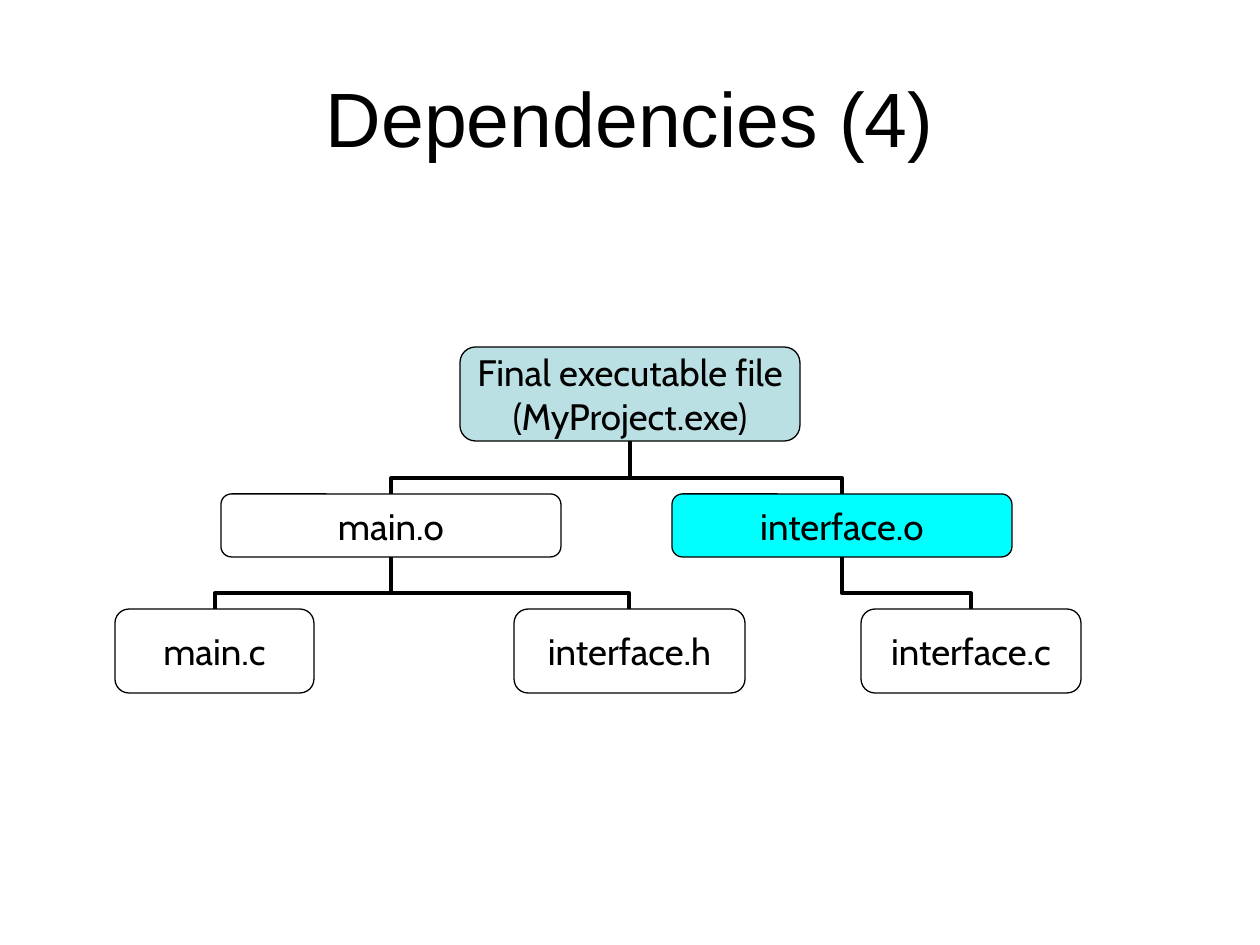
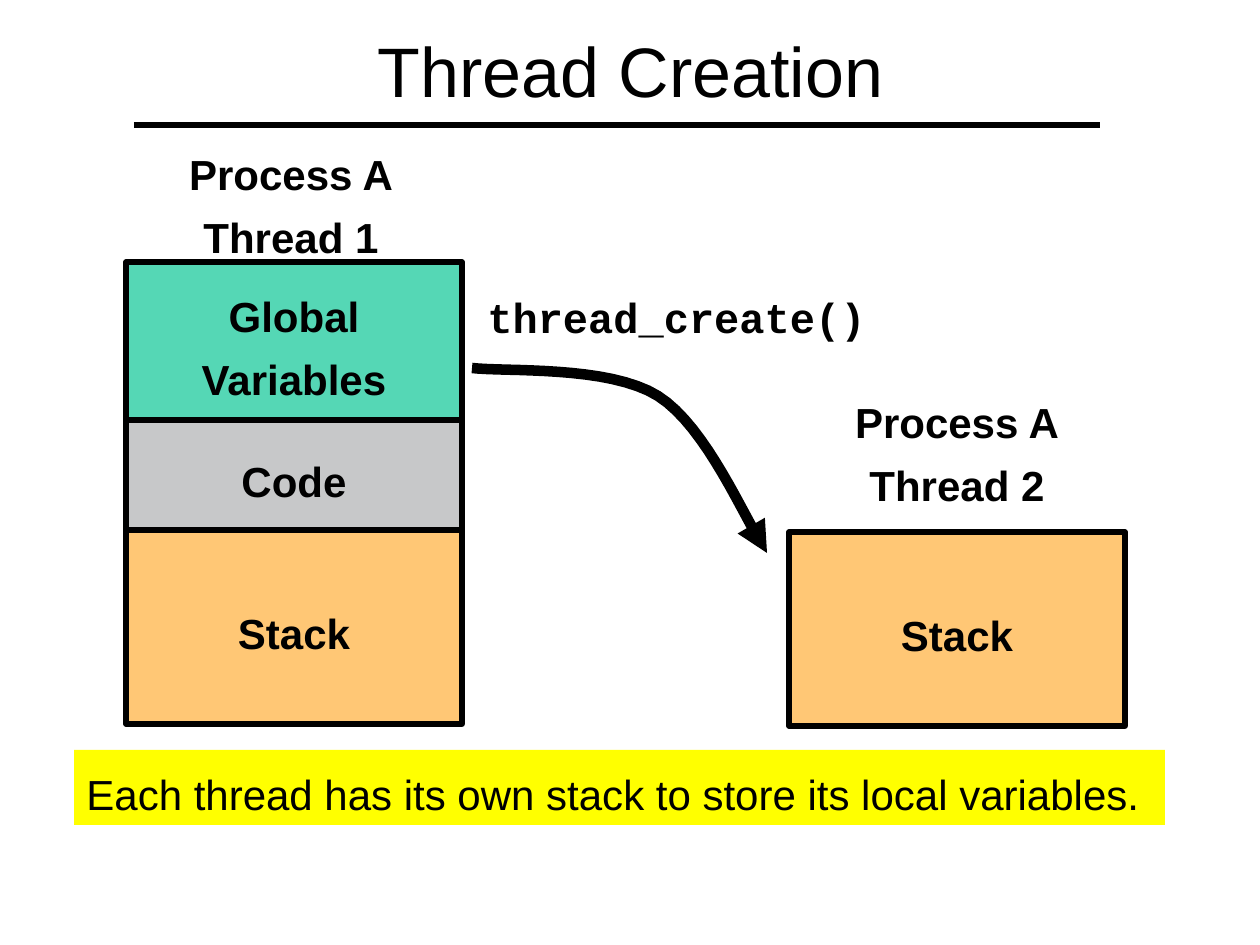
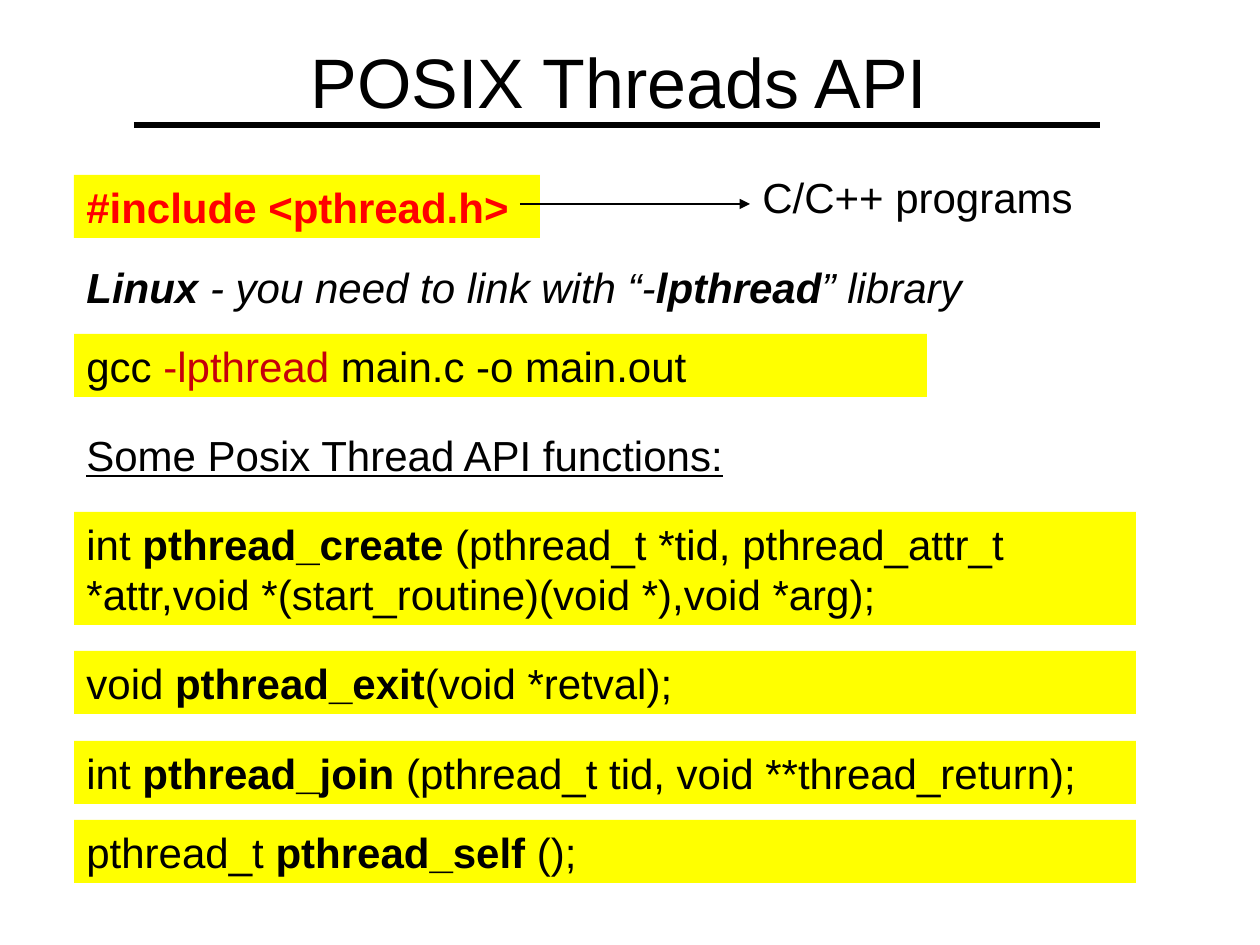
"""Build three slides on build dependencies and POSIX threads."""
from lxml import etree
from pptx import Presentation
from pptx.dml.color import RGBColor
from pptx.enum.shapes import MSO_CONNECTOR, MSO_SHAPE
from pptx.enum.text import MSO_ANCHOR, PP_ALIGN
from pptx.oxml.ns import qn
from pptx.util import Pt

PX = 914400 / 126
BLACK = RGBColor(0x00, 0x00, 0x00)
WHITE = RGBColor(0xFF, 0xFF, 0xFF)
YELLOW = RGBColor(0xFF, 0xFF, 0x00)
RED = RGBColor(0xFF, 0x00, 0x00)
DARK_RED = RGBColor(0xC5, 0x00, 0x0B)
PALE_BLUE = RGBColor(0xBB, 0xE0, 0xE3)
CYAN = RGBColor(0x00, 0xFF, 0xFF)
GREEN = RGBColor(0x55, 0xD7, 0xB5)
GREY = RGBColor(0xC7, 0xC8, 0xC9)
ORANGE = RGBColor(0xFF, 0xC7, 0x75)
SANS, TREE_FONT, CODE_FONT = "Arial", "Cabin", "Courier New"
RECTANGLE, ROUNDED = MSO_SHAPE.RECTANGLE, MSO_SHAPE.ROUNDED_RECTANGLE
STRAIGHT, ELBOW = MSO_CONNECTOR.STRAIGHT, MSO_CONNECTOR.ELBOW
TOP, MIDDLE = MSO_ANCHOR.TOP, MSO_ANCHOR.MIDDLE
LEFT, CENTER = PP_ALIGN.LEFT, PP_ALIGN.CENTER
BOLD = {"bold": True}
BAR_LEFT, BAR_WIDTH, BAR_HEIGHT = 74, 1062, 63
BLOCK_WIDTH = 336
TREE_BEND = 70000


def emu(*lengths):
    """Turn px lengths into EMU."""
    return [round(length * PX) for length in lengths]


def write(shape, paragraphs, size=24, font=SANS, align=LEFT, anchor=TOP,
          spacing=None, wrap=True, inset=None, **style):
    """Write paragraphs, each a string or a list of (text, style) runs."""
    frame = shape.text_frame
    frame.word_wrap = wrap
    frame.vertical_anchor = anchor
    if inset is not None:
        frame.margin_left = frame.margin_right = inset
        frame.margin_top = frame.margin_bottom = inset
    for index, content in enumerate(paragraphs):
        paragraph = frame.add_paragraph() if index else frame.paragraphs[0]
        paragraph.alignment = align
        if spacing:
            paragraph.line_spacing = spacing
        runs = [(content, {})] if isinstance(content, str) else content
        for text, own_style in runs:
            run = paragraph.add_run()
            run.text = text
            run.font.name = font
            run.font.size = Pt(size)
            look = {"color": BLACK, **style, **own_style}
            run.font.color.rgb = look.pop("color")
            for name, value in look.items():
                setattr(run.font, name, value)


def add_text(slide, box, paragraphs, **options):
    """Add a text box."""
    write(slide.shapes.add_textbox(*emu(*box)), paragraphs, **options)


def add_box(slide, kind, box, fill, paragraphs, line=0, **options):
    """Add a filled preset shape with text."""
    shape = slide.shapes.add_shape(kind, *emu(*box))
    shape.shadow.inherit = False
    shape.fill.solid()
    shape.fill.fore_color.rgb = fill
    if line:
        shape.line.color.rgb = BLACK
        shape.line.width = Pt(line)
    else:
        shape.line.fill.background()
    write(shape, paragraphs, **options)


def add_arrowhead(shape):
    """Put a triangle at the end of a connector or open outline."""
    etree.SubElement(shape.get_or_add_ln(), qn("a:tailEnd"), type="triangle")


def add_line(slide, kind, start, end, width):
    """Add a black connector without a shadow."""
    connector = slide.shapes.add_connector(kind, *emu(*start, *end))
    connector.line.color.rgb = BLACK
    connector.line.width = Pt(width)
    etree.SubElement(connector._element.spPr, qn("a:effectLst"))
    return connector


def add_branch(slide, parent, child):
    """Join a parent's bottom to a child's top with an upright elbow."""
    start_x, start_y = parent[0] + parent[2] / 2, parent[1] + parent[3]
    end_x, end_y = child[0] + child[2] / 2, child[1]
    middle_x, middle_y = (start_x + end_x) / 2, (start_y + end_y) / 2
    goes_left = end_x < start_x
    half_drop = (end_y - start_y) / 2 * (1 if goes_left else -1)
    half_span = abs(end_x - start_x) / 2
    branch = add_line(slide, ELBOW,
                      (middle_x - half_drop, middle_y - half_span),
                      (middle_x + half_drop, middle_y + half_span), 2.25)
    properties = branch._element.spPr
    degrees = 90 if goes_left else 270
    properties.find(qn("a:xfrm")).set("rot", str(degrees * 60000))
    guides = properties.find(qn("a:prstGeom")).find(qn("a:avLst"))
    etree.SubElement(guides, qn("a:gd"), name="adj1", fmla=f"val {TREE_BEND}")


def curve_points(start, *controls, steps=16):
    """List points along one cubic curve after its start."""
    corners = (start, *controls)
    points = []
    for step in range(1, steps + 1):
        t = step / steps
        weights = ((1 - t) ** 3, 3 * t * (1 - t) ** 2, 3 * t * t * (1 - t), t ** 3)
        points.append(tuple(
            sum(weight * corner[axis] for weight, corner in zip(weights, corners))
            for axis in (0, 1)))
    return points


def add_curved_arrow(slide, start, *curves):
    """Draw a thick arrow through consecutive cubic curves."""
    points, current = [], start
    for curve in curves:
        points += curve_points(current, *curve)
        current = curve[-1]
    builder = slide.shapes.build_freeform(*emu(*start))
    builder.add_line_segments([emu(*point) for point in points], close=False)
    arrow = builder.convert_to_shape()
    arrow.shadow.inherit = False
    arrow.fill.background()
    arrow.line.color.rgb = BLACK
    arrow.line.width = Pt(6)
    add_arrowhead(arrow)


def add_title(slide, box, text, size=40, ruled=True, **options):
    """Add a centred title, with the rule below it if wanted."""
    add_text(slide, box, [text], size=size, align=CENTER, anchor=MIDDLE, **options)
    if ruled:
        add_line(slide, STRAIGHT, (134, 125), (1100, 125), 3)


def add_bar(slide, top, runs, width=BAR_WIDTH, height=BAR_HEIGHT, **options):
    """Add a yellow bar with one paragraph."""
    add_box(slide, RECTANGLE, (BAR_LEFT, top, width, height), YELLOW, [runs], **options)


def add_label(slide, left, top, lines):
    """Add a bold heading above a memory block."""
    add_text(slide, (left, top, BLOCK_WIDTH, 68), lines, align=CENTER,
             anchor=MIDDLE, spacing=1.24, wrap=False, **BOLD)


def add_block(slide, left, top, height, fill, lines):
    """Add one block of a thread's memory."""
    add_box(slide, RECTANGLE, (left, top, BLOCK_WIDTH, height), fill, lines, line=3,
            align=CENTER, anchor=MIDDLE, spacing=1.24, wrap=False, **BOLD)


def build_dependencies(slide):
    """Draw the dependency tree."""
    add_title(slide, (63, 38, 1134, 158), "Dependencies (4)", size=44, ruled=False)
    program = (460, 347, 340, 94)
    main_object, interface_object = [(left, 494, 340, 63) for left in (221, 672)]
    main_source, header, interface_source = [
        (left, 609, width, 84) for left, width in ((115, 199), (514, 231), (861, 220))]
    for parent, child in ((interface_object, interface_source), (main_object, header),
                          (main_object, main_source), (program, interface_object),
                          (program, main_object)):
        add_branch(slide, parent, child)
    for box, fill, lines in (
            (program, PALE_BLUE, ["Final executable file", "(MyProject.exe)"]),
            (main_object, WHITE, ["main.o"]),
            (interface_object, CYAN, ["interface.o"]),
            (main_source, WHITE, ["main.c"]),
            (header, WHITE, ["interface.h"]),
            (interface_source, WHITE, ["interface.c"])):
        add_box(slide, ROUNDED, box, fill, lines, line=0.75, size=21, font=TREE_FONT,
                align=CENTER, anchor=MIDDLE, wrap=False, inset=0)


def build_thread_creation(slide):
    """Show a process creating a second thread."""
    add_title(slide, (53, 42, 1155, 53), "Thread Creation", spacing=1.03)
    add_label(slide, 123, 165, ["Process A", "Thread 1"])
    top = 262
    for height, fill, lines in ((158, GREEN, ["Global", "Variables"]),
                                (110, GREY, ["Code"]), (194, ORANGE, ["Stack"])):
        add_block(slide, 126, top, height, fill, lines)
        top += height
    add_label(slide, 789, 413, ["Process A", "Thread 2"])
    add_block(slide, 789, 532, 194, ORANGE, ["Stack"])
    add_curved_arrow(slide, (472, 368), ((503, 372), (609, 365), (658, 396)),
                     ((707, 427), (745, 520), (767, 553)))
    add_text(slide, (475, 284, 403, 64), ["thread_create()"], font=CODE_FONT,
             spacing=1.03, wrap=False, **BOLD)
    add_bar(slide, 750, "Each thread has its own stack to store its local variables.",
            width=1091, height=75, spacing=1.24)


def build_threads_api(slide):
    """List the header, the build command and the main functions."""
    add_title(slide, (84, 35, 1070, 91), "POSIX Threads API")
    add_bar(slide, 175, "#include <pthread.h>", width=466, color=RED, **BOLD)
    add_arrowhead(add_line(slide, STRAIGHT, (520, 204), (750, 204), 0.75))
    add_text(slide, (750, 165, 367, 63), ["C/C++ programs"])
    add_text(slide, (BAR_LEFT, 255, 1052, 63), [[
        ("Linux", BOLD), (" - you need to link with “-", {}),
        ("lpthread", BOLD), ("” library", {})]], italic=True)
    add_bar(slide, 334, [("gcc ", {}), ("-lpthread", {"color": DARK_RED}),
                         (" main.c -o main.out", {})], width=853)
    add_text(slide, (BAR_LEFT, 423, 833, 63), ["Some Posix Thread API functions:"],
             underline=True)
    for top, height, result, name, arguments in (
            (512, 113, "int ", "pthread_create",
             " (pthread_t *tid, pthread_attr_t *attr,void *(start_routine)(void *),void *arg);"),
            (651, BAR_HEIGHT, "void ", "pthread_exit", "(void *retval);"),
            (741, BAR_HEIGHT, "int ", "pthread_join",
             " (pthread_t tid, void **thread_return);"),
            (820, BAR_HEIGHT, "pthread_t ", "pthread_self", " ();")):
        add_bar(slide, top, [(result, {}), (name, BOLD), (arguments, {})], height=height)


def main():
    """Build and save the presentation."""
    presentation = Presentation()
    presentation.slide_width, presentation.slide_height = emu(1260, 945)
    for build in (build_dependencies, build_thread_creation, build_threads_api):
        build(presentation.slides.add_slide(presentation.slide_layouts[6]))
    presentation.save("out.pptx")


if __name__ == "__main__":
    main()
